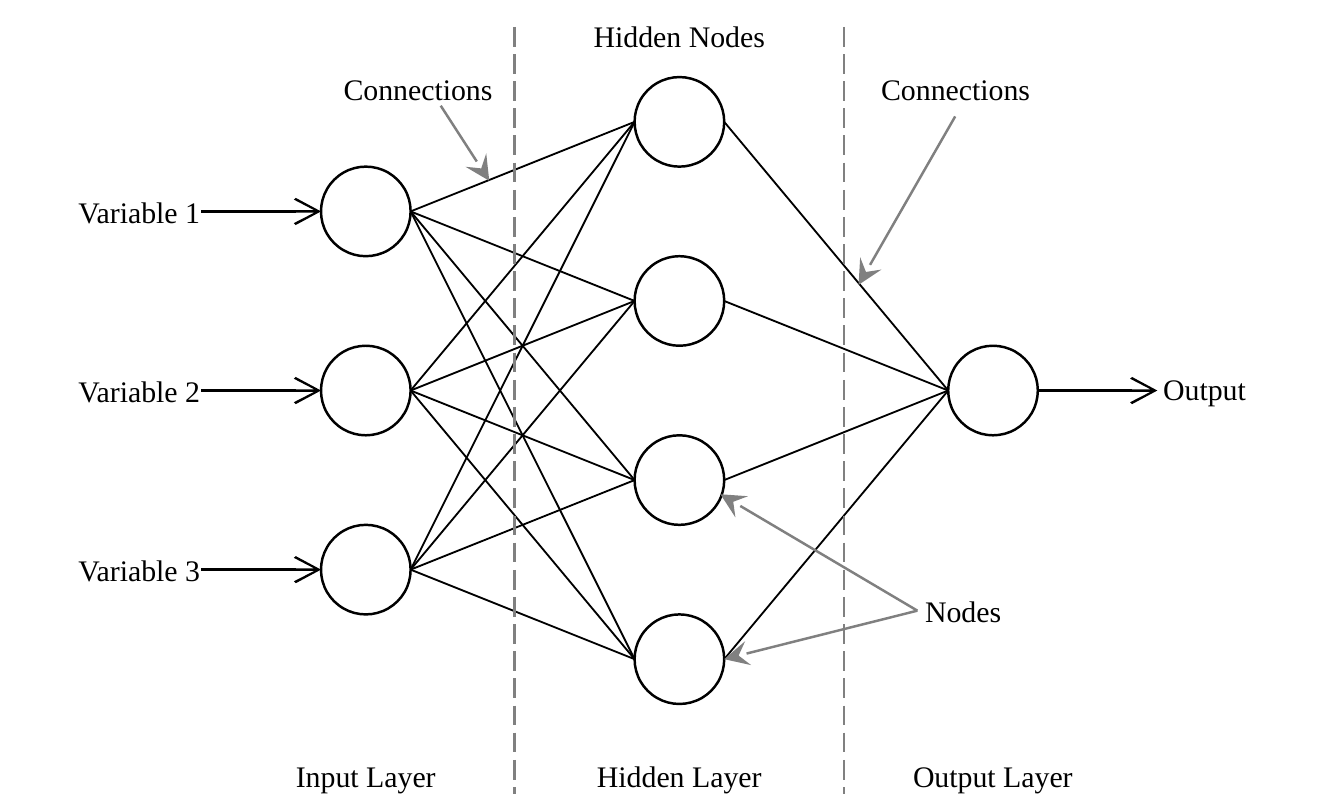
"""Draws a feed-forward neural network with three inputs, four hidden nodes and one output."""
from itertools import product

from lxml.etree import SubElement
from pptx import Presentation
from pptx.dml.color import RGBColor
from pptx.enum.dml import MSO_LINE
from pptx.enum.shapes import MSO_CONNECTOR, MSO_SHAPE
from pptx.enum.text import MSO_AUTO_SIZE, PP_ALIGN
from pptx.oxml.ns import qn
from pptx.util import Pt

BLACK, GRAY = "000000", "808080"


def color(hex_code):
    return RGBColor.from_string(hex_code)


def write(frame, text, font="Times New Roman", size=12, ink=BLACK, align=PP_ALIGN.CENTER):
    paragraph = frame.paragraphs[0]
    paragraph.alignment = align
    run = paragraph.add_run()
    run.text = text
    run.font.name = font
    run.font.size = Pt(size)
    run.font.color.rgb = color(ink)


class Diagram:
    node_size = 36
    label_height = 21.6

    def __init__(self, slide):
        self.shapes = slide.shapes

    def node(self, left, middle):
        size = self.node_size
        circle = self.shapes.add_shape(
            MSO_SHAPE.OVAL, Pt(left), Pt(middle - size / 2), Pt(size), Pt(size))
        circle.shadow.inherit = False
        circle.fill.background()
        circle.line.color.rgb = color(BLACK)
        circle.line.width = Pt(1)

    def line(self, start, end, ink=BLACK, width=1, dash=None, head=None):
        connector = self.shapes.add_connector(
            MSO_CONNECTOR.STRAIGHT, *(Pt(value) for value in (*start, *end)))
        connector.line.color.rgb = color(ink)
        connector.line.width = Pt(width)
        if dash:
            connector.line.dash_style = dash
        if head:
            SubElement(connector.line._get_or_add_ln(), qn("a:tailEnd"),
                       type=head, w="lg", len="lg")
        SubElement(connector._element.spPr, qn("a:effectLst"))

    def label(self, text, center, top, width=90):
        box = self.shapes.add_textbox(
            Pt(center - width / 2), Pt(top), Pt(width), Pt(self.label_height))
        box.text_frame.word_wrap = True
        box.text_frame.auto_size = MSO_AUTO_SIZE.SHAPE_TO_FIT_TEXT
        write(box.text_frame, text)


presentation = Presentation()
presentation.slide_width, presentation.slide_height = Pt(540), Pt(324)
diagram = Diagram(presentation.slides.add_slide(presentation.slide_layouts[6]))

input_left, hidden_left, output_left = (129 + 126 * layer for layer in range(3))
input_rows = [85 + 72 * row for row in range(3)]
hidden_rows = [49 + 72 * row for row in range(4)]
output_rows = [157]
layers = [(input_left, input_rows), (hidden_left, hidden_rows), (output_left, output_rows)]

for left, rows in layers:
    for row in rows:
        diagram.node(left, row)

for (source_left, sources), (target_left, targets) in zip(layers, layers[1:]):
    for source, target in product(sources, targets):
        diagram.line((source_left + diagram.node_size, source), (target_left, target), width=0.75)

for divider in (206.8, 339.2):
    diagram.line((divider, 10.8), (divider, 319), ink=GRAY, dash=MSO_LINE.LONG_DASH)

for number, row in enumerate(input_rows, 1):
    diagram.line((80.8, row), (input_left, row), head="arrow")
    diagram.label(f"Variable {number}", 56, row - 10.8, width=68)

output_right = output_left + diagram.node_size
diagram.line((output_right, output_rows[0]), (output_right + 48, output_rows[0]), head="arrow")

nodes_callout = (368.6, 245.5)
for start, end in [
    (nodes_callout, (291, 265)),
    (nodes_callout, (289.5, 198.7)),
    ((383.8, 46.8), (345, 114.5)),
    ((177.1, 42.5), (196.6, 72.7)),
]:
    diagram.line(start, end, ink=GRAY, head="stealth")

for text, center, top in [
    ("Input Layer", 147, 301),
    ("Hidden Layer", 273, 301),
    ("Output Layer", 399, 301),
    ("Hidden Nodes", 273, 3.6),
    ("Connections", 168, 24.8),
    ("Connections", 384, 24.8),
    ("Output", 484, 145.4),
]:
    diagram.label(text, center, top)
diagram.label("Nodes", 387, 234.7, width=48)

presentation.save("out.pptx")
